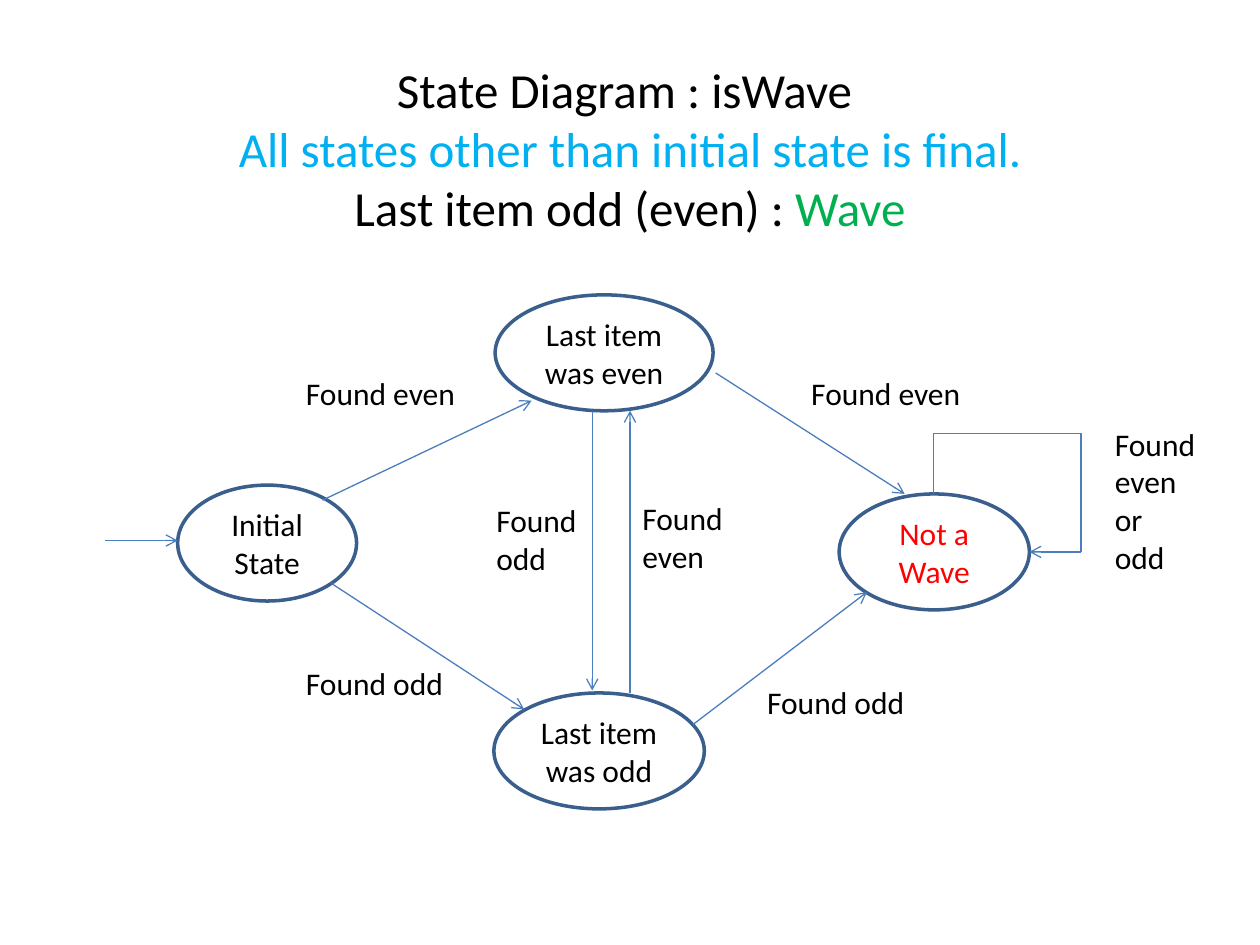
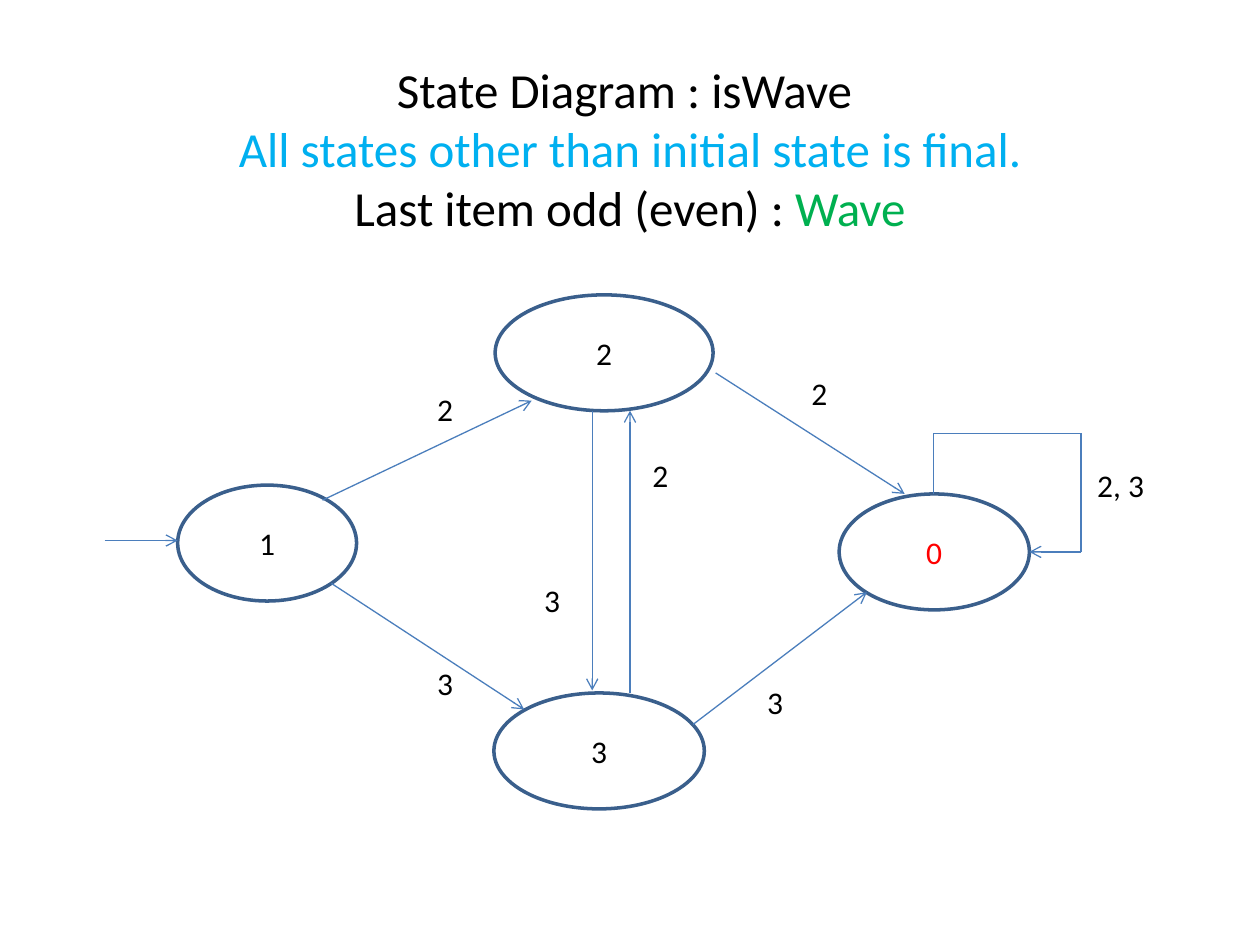
import pptx
import pptx.util
import pptx.dml.color
import pptx.enum.shapes
import pptx.enum.text
import pptx.oxml.ns
import lxml.etree

Inches = pptx.util.Inches
Pt = pptx.util.Pt
RGBColor = pptx.dml.color.RGBColor
MIDDLE = pptx.enum.text.MSO_ANCHOR.MIDDLE
CENTER = pptx.enum.text.PP_ALIGN.CENTER

FONT = "Calibri"
BLACK = RGBColor(0x00, 0x00, 0x00)
WHITE = RGBColor(0xFF, 0xFF, 0xFF)
RED = RGBColor(0xFF, 0x00, 0x00)
CYAN = RGBColor(0x00, 0xB0, 0xF0)
GREEN = RGBColor(0x00, 0xB0, 0x50)
OUTLINE = RGBColor(0x3A, 0x5F, 0x8C)
ARROW = RGBColor(0x4B, 0x7E, 0xBC)

TITLE = [
    [("State Diagram : isWave ", BLACK)],
    [("All states other than initial state is final.", CYAN)],
    [("Last item odd (even) : ", BLACK), ("Wave", GREEN)],
]

STATE_HEIGHT = 0.92
STATES = [
    (1.41, 3.85, 1.42, BLACK),
    (6.66, 3.92, 1.51, RED),
    (3.92, 5.5, 1.67, BLACK),
    (3.93, 2.34, 1.73, BLACK),
]

TRANSITIONS = [
    (0.83, 4.29, 1.41, 4.29),
    (2.56, 3.97, 4.22, 3.18),
    (2.63, 4.63, 4.16, 5.63),
    (5.68, 2.96, 7.18, 3.92),
    (5.5, 5.75, 6.88, 4.7),
    (4.7, 3.26, 4.7, 5.48),
    (5, 5.5, 5, 3.26),
]
LOOP = [(7.41, 3.92), (7.41, 3.44), (8.58, 3.44), (8.58, 4.38), (8.17, 4.38)]

SLIDES = [
    (
        ["Initial State", "Not a Wave", "Last item was odd", "Last item was even"],
        [
            ("Found odd", 2.33, 5.22, 1.33, 0.4),
            ("Found odd", 5.99, 5.37, 1.33, 0.4),
            ("Found odd", 3.84, 3.93, 0.92, 0.71),
            ("Found even", 2.33, 2.92, 1.5, 0.4),
            ("Found even", 6.34, 2.92, 1.5, 0.4),
            ("Found even", 5, 3.91, 0.93, 0.71),
            ("Found even or odd", 8.75, 3.32, 0.84, 1.31),
        ],
    ),
    (
        ["1", "0", "3", "2"],
        [
            ("3", 3.37, 5.22, 0.29, 0.4),
            ("3", 5.99, 5.37, 0.35, 0.4),
            ("3", 4.22, 4.56, 0.4, 0.4),
            ("2", 3.37, 3.05, 0.29, 0.4),
            ("2", 6.34, 2.92, 0.32, 0.4),
            ("2", 5.08, 3.57, 0.33, 0.4),
            ("2, 3", 8.61, 3.65, 0.67, 0.4),
        ],
    ),
]


def add_run(p, text, size, color):
    r = p.add_run()
    r.text = text
    r.font.name = FONT
    r.font.size = Pt(size)
    r.font.color.rgb = color


def add_line(s, x1, y1, x2, y2, arrow=True):
    straight = pptx.enum.shapes.MSO_CONNECTOR.STRAIGHT
    cn = s.shapes.add_connector(straight, Inches(x1), Inches(y1), Inches(x2), Inches(y2))
    cn.line.color.rgb = ARROW
    cn.line.width = Pt(0.75)
    if arrow:
        ln = cn.line._get_or_add_ln()
        lxml.etree.SubElement(ln, pptx.oxml.ns.qn("a:tailEnd"), type="arrow")
    lxml.etree.SubElement(cn._element.spPr, pptx.oxml.ns.qn("a:effectLst"))


prs = pptx.Presentation()
prs.slide_width = Inches(10)
prs.slide_height = Inches(7.5)

for names, labels in SLIDES:
    s = prs.slides.add_slide(prs.slide_layouts[6])

    sp = s.shapes.add_textbox(Inches(0.75), Inches(0.58), Inches(8.5), Inches(1.61))
    tf = sp.text_frame
    tf.word_wrap = True
    tf.vertical_anchor = MIDDLE
    tf.margin_top = 0
    tf.margin_bottom = Inches(0.42)
    p = tf.paragraphs[0]
    p.alignment = CENTER
    for i, line in enumerate(TITLE):
        if i:
            p.add_line_break()
        for text, color in line:
            add_run(p, text, 28, color)

    for name, (x, y, w, color) in zip(names, STATES):
        oval = pptx.enum.shapes.MSO_SHAPE.OVAL
        sp = s.shapes.add_shape(oval, Inches(x), Inches(y), Inches(w), Inches(STATE_HEIGHT))
        sp.shadow.inherit = False
        sp.fill.solid()
        sp.fill.fore_color.rgb = WHITE
        sp.line.color.rgb = OUTLINE
        sp.line.width = Pt(2)
        tf = sp.text_frame
        tf.word_wrap = True
        tf.vertical_anchor = MIDDLE
        p = tf.paragraphs[0]
        p.alignment = CENTER
        add_run(p, name, 18, color)

    for ends in TRANSITIONS:
        add_line(s, *ends)
    for start, end in zip(LOOP, LOOP[1:]):
        add_line(s, *start, *end, arrow=end == LOOP[-1])

    for text, x, y, w, h in labels:
        sp = s.shapes.add_textbox(Inches(x), Inches(y), Inches(w), Inches(h))
        tf = sp.text_frame
        tf.word_wrap = True
        tf.auto_size = pptx.enum.text.MSO_AUTO_SIZE.SHAPE_TO_FIT_TEXT
        add_run(tf.paragraphs[0], text, 18, BLACK)

prs.save("out.pptx")
